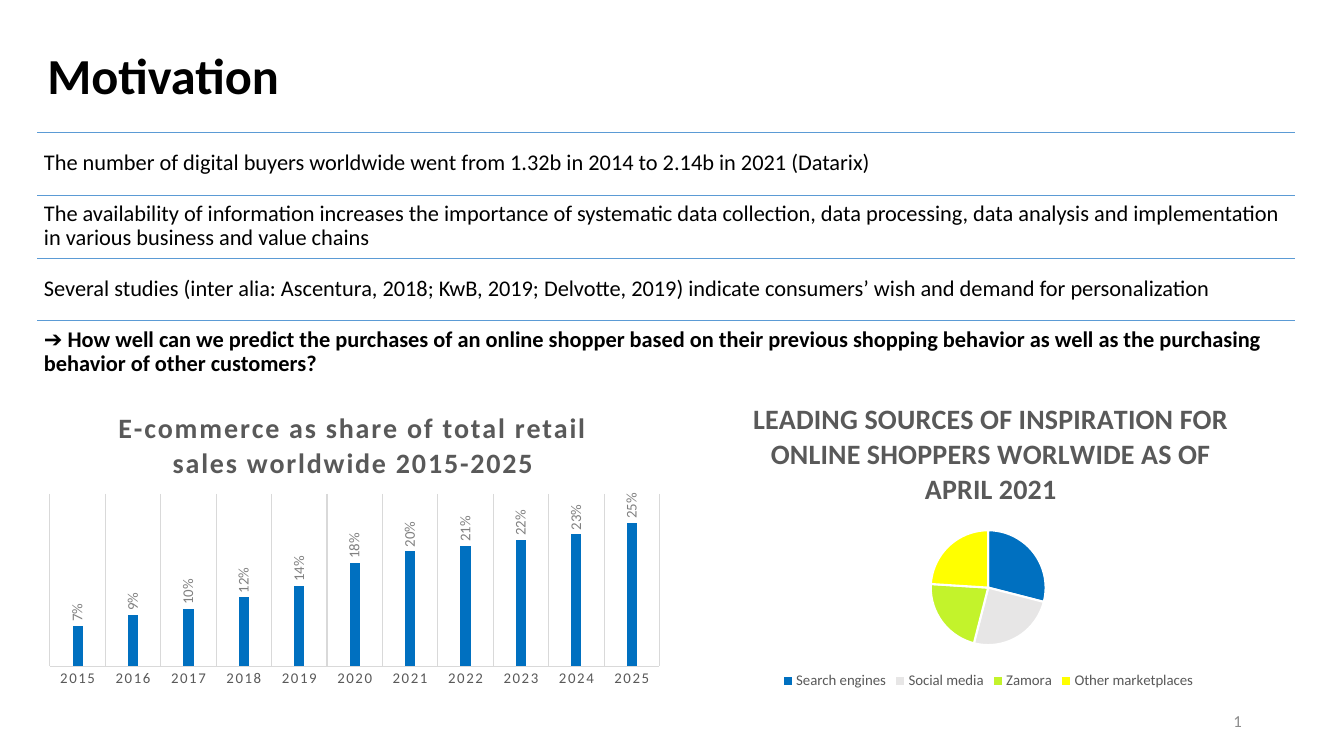
from lxml import etree
from pptx import Presentation
from pptx.chart.data import CategoryChartData
from pptx.dml.color import RGBColor
from pptx.enum.chart import XL_CHART_TYPE, XL_LABEL_POSITION, XL_LEGEND_POSITION, XL_TICK_MARK
from pptx.enum.shapes import MSO_CONNECTOR
from pptx.enum.text import MSO_ANCHOR, PP_ALIGN
from pptx.oxml import parse_xml
from pptx.oxml.ns import qn
from pptx.util import Pt

COLUMN, PIE = XL_CHART_TYPE.COLUMN_CLUSTERED, XL_CHART_TYPE.PIE
OUTSIDE_END = XL_LABEL_POSITION.OUTSIDE_END
BOTTOM = XL_LEGEND_POSITION.BOTTOM
NO_TICK = XL_TICK_MARK.NONE
STRAIGHT = MSO_CONNECTOR.STRAIGHT
MIDDLE = MSO_ANCHOR.MIDDLE
LEFT, RIGHT = PP_ALIGN.LEFT, PP_ALIGN.RIGHT

FONT = "Calibri"
BLACK, WHITE, GREY = "000000", "FFFFFF", "595959"
BLUE, RULE_BLUE, GRID_GREY = "0070C0", "5B9BD5", "D9D9D9"
MARGIN, ROW_TOP, ROW_WIDTH, ROW_HEIGHT = 26.6, 94.5, 898.6, 44.85
CHART_TOP, CHART_HEIGHT = 279.4, 216


def paint(fill, color):
    fill.solid()
    fill.fore_color.rgb = RGBColor.from_string(color)


def set_layout(parent, **fractions):
    """Place a chart title or plot area by fractions of the chart frame."""
    layout = parent.find(qn("c:layout"))
    if layout is None:
        layout = etree.Element(qn("c:layout"))
        parent.insert(0, layout)
    manual = etree.SubElement(layout, qn("c:manualLayout"))
    if "w" in fractions:
        etree.SubElement(manual, qn("c:layoutTarget")).set("val", "inner")
    for axis in "xy":
        etree.SubElement(manual, qn(f"c:{axis}Mode")).set("val", "edge")
    for name, value in fractions.items():
        etree.SubElement(manual, qn(f"c:{name}")).set("val", str(value))


presentation = Presentation()
presentation.slide_width, presentation.slide_height = Pt(960), Pt(540)
slide = presentation.slides.add_slide(presentation.slide_layouts[5])
shapes = slide.shapes
fonts = []  # (font, size, color, bold)

# Title
title = shapes.title
title_box = {"left": MARGIN, "top": 23, "width": 828, "height": 65.5}
for name, value in title_box.items():
    setattr(title, name, Pt(value))
title.text_frame.text = "Motivation"
title.text_frame.vertical_anchor = MIDDLE
heading = title.text_frame.paragraphs[0]
heading.alignment, heading.line_spacing = LEFT, 0.9
fonts.append((heading.runs[0].font, 36, BLACK, True))

# Statements, each under a thin rule; every run is (text, bold)
statements = [
    [("The number of digital buyers worldwide went from 1.32b in 2014 to 2.14b in 2021 (Datarix)", False)],
    [("The availability of information increases the importance of systematic data collection, "
      "data processing, data analysis and implementation in various business and value chains", False)],
    [("Several studies (inter alia: Ascentura, 2018; KwB, 2019; Delvotte, 2019) indicate "
      "consumers’ wish and demand for personalization", False)],
    [("➔ ", False),
     ("How well can we predict the purchases of an online shopper based on their previous shopping "
      "behavior as well as the purchasing behavior of other customers?", True)],
]
for row, runs in enumerate(statements):
    top = Pt(ROW_TOP + row * ROW_HEIGHT)
    rule = shapes.add_connector(STRAIGHT, Pt(MARGIN), top, Pt(MARGIN + ROW_WIDTH), top)
    paint(rule.line.fill, RULE_BLUE)
    rule.line.width = Pt(0.5)
    etree.SubElement(rule._element.spPr, qn("a:effectLst"))

    frame = shapes.add_textbox(Pt(MARGIN), top, Pt(ROW_WIDTH), Pt(ROW_HEIGHT)).text_frame
    frame.word_wrap, frame.vertical_anchor = True, MIDDLE
    for side in ("left", "top", "right", "bottom"):
        setattr(frame, f"margin_{side}", Pt(4.8))
    paragraph = frame.paragraphs[0]
    paragraph.line_spacing = 0.9
    for text, bold in runs:
        run = paragraph.add_run()
        run.text = text
        fonts.append((run.font, 16, BLACK, bold))

# Charts
chart_specs = [
    {"kind": COLUMN, "left": MARGIN, "width": 453.6,
     "title": "E-commerce as share of total retail sales worldwide 2015-2025",
     "title_at": {"x": 0.12, "y": 0.04},
     "plot_at": {"x": 0.02, "y": 0.34, "w": 0.96, "h": 0.57},
     "categories": [str(year) for year in range(2015, 2026)],
     "values": [0.07, 0.09, 0.1, 0.12, 0.14, 0.18, 0.2, 0.21, 0.22, 0.23, 0.25]},
    {"kind": PIE, "left": 480.2, "width": 451.4,
     "title": "LEADING SOURCES OF INSPIRATION FOR ONLINE SHOPPERS WORLWIDE AS OF APRIL 2021",
     "title_at": {"x": 0.12, "y": 0.01},
     "plot_at": {"x": 0.4, "y": 0.46, "w": 0.2, "h": 0.38},
     "categories": ["Search engines", "Social media", "Zamora", "Other marketplaces"],
     "values": [29, 25, 22, 24]},
]
charts = []
for spec in chart_specs:
    data = CategoryChartData()
    data.categories = spec["categories"]
    data.add_series("Series 1", spec["values"])
    chart = shapes.add_chart(spec["kind"], Pt(spec["left"]), Pt(CHART_TOP),
                             Pt(spec["width"]), Pt(CHART_HEIGHT), data).chart
    chart.has_title, chart.has_legend = True, False
    chart.chart_title.text_frame.text = spec["title"]
    title_font = chart.chart_title.text_frame.paragraphs[0].runs[0].font
    fonts += [(chart.font, 10, BLACK, False), (title_font, 20, GREY, True)]
    set_layout(chart.chart_title._element, **spec["title_at"])
    set_layout(chart._chartSpace.chart.plotArea, **spec["plot_at"])
    charts.append(chart)
column_chart, pie_chart = charts

# Column chart: hidden value axis, vertical gridlines, upright labels
columns = column_chart.plots[0]
columns_format = {"gap_width": 444, "overlap": -90, "vary_by_categories": False, "has_data_labels": True}
for name, value in columns_format.items():
    setattr(columns, name, value)
paint(columns.series[0].format.fill, BLUE)
labels = columns.data_labels
labels_format = {"show_value": True, "position": OUTSIDE_END,
                 "number_format": "0%", "number_format_is_linked": False}
for name, value in labels_format.items():
    setattr(labels, name, value)
fonts.append((labels.font, 10.6, "808080", False))
label_body = labels._element.find(qn("c:txPr")).find(qn("a:bodyPr"))
label_body.set("rot", "-5400000")
label_body.set("vert", "horz")

value_axis, year_axis = column_chart.value_axis, column_chart.category_axis
value_format = {"minimum_scale": 0, "maximum_scale": 0.3, "has_major_gridlines": False, "visible": False}
for name, value in value_format.items():
    setattr(value_axis, name, value)
year_axis.has_major_gridlines = True
year_axis.major_tick_mark = NO_TICK
for line in (year_axis.format.line, year_axis.major_gridlines.format.line):
    paint(line.fill, GRID_GREY)
    line.width = Pt(0.75)
year_font = year_axis.tick_labels.font
fonts.append((year_font, 10.6, GREY, False))
column_title_font = column_chart.chart_title.text_frame.paragraphs[0].runs[0].font
for font in (year_font, column_title_font):
    font._element.set("spc", "120")

# Pie chart: one colour a slice, legend below
pie = pie_chart.plots[0]
pie.vary_by_categories = True
for index, color in enumerate([BLUE, "E7E6E6", "C3F32B", "FFFF00"]):
    slice_format = pie.series[0].points[index].format
    paint(slice_format.fill, color)
    paint(slice_format.line.fill, WHITE)
    slice_format.line.width = Pt(1.5)
pie_chart.has_legend = True
legend = pie_chart.legend
legend.position, legend.include_in_layout = BOTTOM, False
fonts.append((legend.font, 10.6, GREY, False))

# Slide number
number_frame = shapes.add_textbox(Pt(678.2), Pt(500.4), Pt(216), Pt(28.8)).text_frame
number_frame.word_wrap, number_frame.vertical_anchor = True, MIDDLE
number = number_frame.paragraphs[0]
number.alignment = RIGHT
number_run = number.add_run()
number_run.text = "1"
fonts.append((number_run.font, 12, "8C8C8C", False))

for font, size, color, bold in fonts:
    for name, value in {"name": FONT, "size": Pt(size), "bold": bold}.items():
        setattr(font, name, value)
    paint(font.fill, color)

# Turn the number's run into a live slide-number field
field = parse_xml('<a:fld xmlns:a="http://schemas.openxmlformats.org/drawingml/2006/main" '
                  'id="{B6F15528-21DE-4FAA-801E-634DDDAF4B2B}" type="slidenum"/>')
field.extend(list(number_run._r))
number._p.replace(number_run._r, field)

presentation.save("out.pptx")
